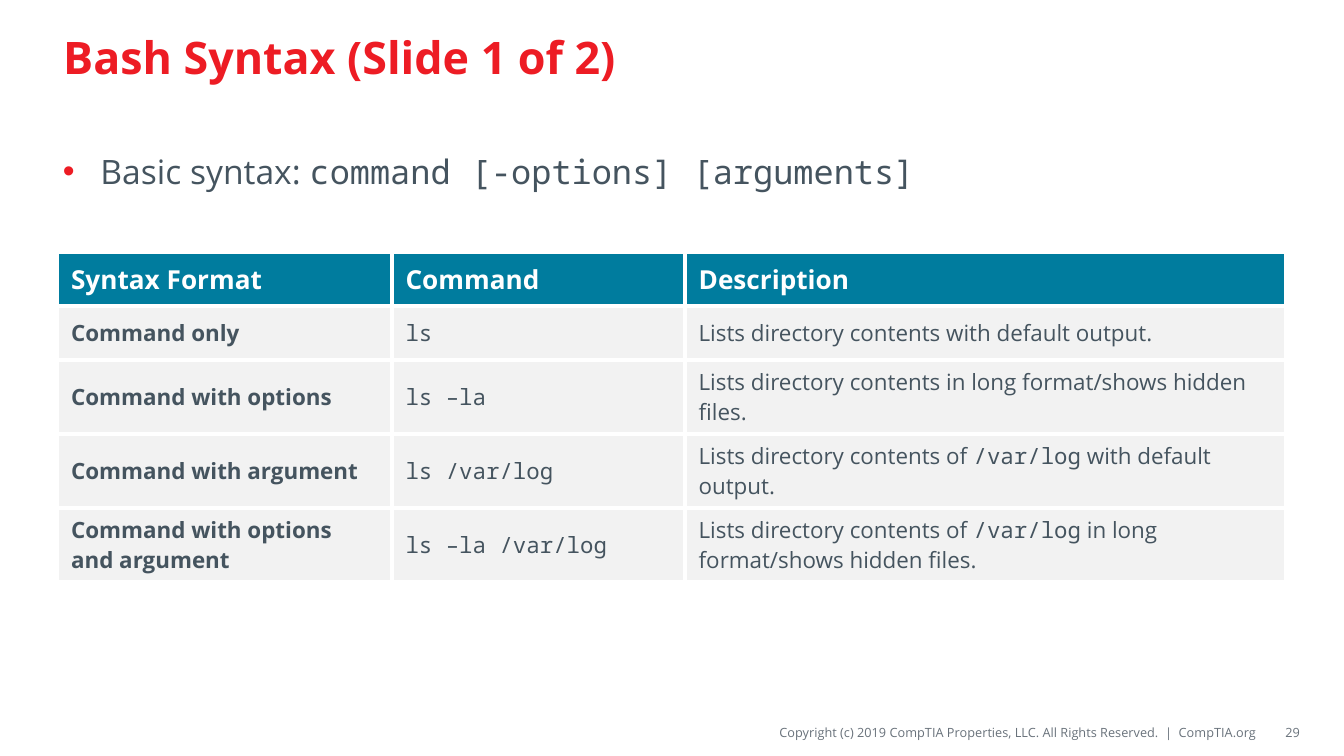
from lxml import etree
from pptx import Presentation
from pptx.dml.color import RGBColor
from pptx.enum.text import MSO_ANCHOR, PP_ALIGN
from pptx.oxml.ns import qn
from pptx.util import Cm, Pt

LEFT, RIGHT = PP_ALIGN.LEFT, PP_ALIGN.RIGHT
TOP, MIDDLE = MSO_ANCHOR.TOP, MSO_ANCHOR.MIDDLE
TITLE_ONLY = 5

SANS, MONO = "Open Sans", "Noto Sans Mono"
RED, TEAL, SLATE, GRAY = "ED1C24", "007C9E", "45545F", "69727B"
LIGHT, WHITE = "F2F2F2", "FFFFFF"


def rgb(hex_color):
    return RGBColor.from_string(hex_color)


def add_color(parent, hex_color):
    etree.SubElement(parent, qn("a:srgbClr"), val=hex_color)


class SlideBuilder:
    def __init__(self, slide):
        self.slide = slide

    def set_text(self, paragraph, runs, size, color, bold=False, align=LEFT):
        """Fill a paragraph from (text, font name) pairs."""
        paragraph.alignment = align
        font = paragraph.font
        font.size, font.bold = Pt(size), bold
        font.color.rgb = rgb(color)
        if len(runs) == 1:
            font.name = runs[0][1]
        for text, name in runs:
            run = paragraph.add_run()
            run.text = text
            if len(runs) > 1:
                run.font.name = name

    def title(self, text, left, top, width, height):
        title = self.slide.shapes.title
        title.left, title.top = Cm(left), Cm(top)
        title.width, title.height = Cm(width), Cm(height)
        title.text_frame.vertical_anchor = MIDDLE
        self.set_text(title.text_frame.paragraphs[0], [(text, SANS)], 24, RED, bold=True)

    def text_box(self, left, top, width, height, anchor=TOP):
        box = self.slide.shapes.add_textbox(Cm(left), Cm(top), Cm(width), Cm(height))
        frame = box.text_frame
        frame.word_wrap = True
        frame.vertical_anchor = anchor
        return frame

    def bullet(self, runs, left, top, width, height):
        paragraph = self.text_box(left, top, width, height).paragraphs[0]
        properties = paragraph._p.get_or_add_pPr()
        properties.set("marL", str(Cm(0.71)))
        properties.set("indent", str(-Cm(0.71)))
        add_color(etree.SubElement(properties, qn("a:buClr")), RED)
        etree.SubElement(properties, qn("a:buFont"), typeface="Arial")
        etree.SubElement(properties, qn("a:buChar"), char="•")
        self.set_text(paragraph, runs, 18, SLATE)

    def footer(self, text, left, width):
        frame = self.text_box(left, 13.56, width, 0.56, MIDDLE)
        frame.margin_left = frame.margin_right = 0
        self.set_text(frame.paragraphs[0], [(text, SANS)], 6.8, GRAY, align=RIGHT)

    def cell(self, cell, runs, size, color, fill, bold):
        cell.vertical_anchor = MIDDLE
        self.set_text(cell.text_frame.paragraphs[0], runs, size, color, bold)
        properties = cell._tc.get_or_add_tcPr()
        for side in ("a:lnL", "a:lnR", "a:lnT", "a:lnB"):
            border = etree.SubElement(properties, qn(side), w=str(Pt(2.25)))
            add_color(etree.SubElement(border, qn("a:solidFill")), WHITE)
        cell.fill.solid()
        cell.fill.fore_color.rgb = rgb(fill)

    def table(self, header, rows, left, top, widths, heights):
        table = self.slide.shapes.add_table(
            len(heights), len(widths), Cm(left), Cm(top),
            Cm(sum(widths)), Cm(sum(heights))).table
        for column, width in zip(table.columns, widths):
            column.width = Cm(width)
        for row, height in zip(table.rows, heights):
            row.height = Cm(height)
        for c, heading in enumerate(header):
            self.cell(table.cell(0, c), [(heading, SANS)], 14, WHITE, TEAL, True)
        for r, (syntax, command, description) in enumerate(rows, start=1):
            contents = ([(syntax, SANS)], [(command, MONO)], description)
            for c, runs in enumerate(contents):
                self.cell(table.cell(r, c), runs, 12, SLATE, LIGHT, c == 0)


def log_description(ending):
    return [("Lists directory contents of ", SANS), ("/var/log", MONO), (ending, SANS)]


def main():
    deck = Presentation()
    deck.slide_width, deck.slide_height = Cm(25.4), Cm(14.29)
    builder = SlideBuilder(deck.slides.add_slide(deck.slide_layouts[TITLE_ONLY]))

    # Title and syntax rule
    builder.title("Bash Syntax (Slide 1 of 2)", 0.94, 0.2, 23.5, 1.75)
    builder.bullet([("Basic syntax: ", SANS), ("command [-options] [arguments]", MONO)],
                   0.94, 2.72, 23.5, 9.9)

    # Syntax examples
    header = ("Syntax Format", "Command", "Description")
    examples = [
        ("Command only", "ls",
         [("Lists directory contents with default output.", SANS)]),
        ("Command with options", "ls –la",
         [("Lists directory contents in long format/shows hidden files.", SANS)]),
        ("Command with argument", "ls /var/log",
         log_description(" with default output.")),
        ("Command with options and argument", "ls –la /var/log",
         log_description(" in long format/shows hidden files.")),
    ]
    builder.table(header, examples, 1.09, 4.76, widths=(6.32, 5.54, 11.35),
                  heights=(1.02, 1.02, 1.4, 1.4, 1.4))

    # Footer
    builder.footer("Copyright (c) 2019 CompTIA Properties, LLC. All Rights Reserved.  |  CompTIA.org",
                   9.86, 13.89)
    builder.footer("29", 23.83, 0.74)

    deck.save("out.pptx")


if __name__ == "__main__":
    main()
